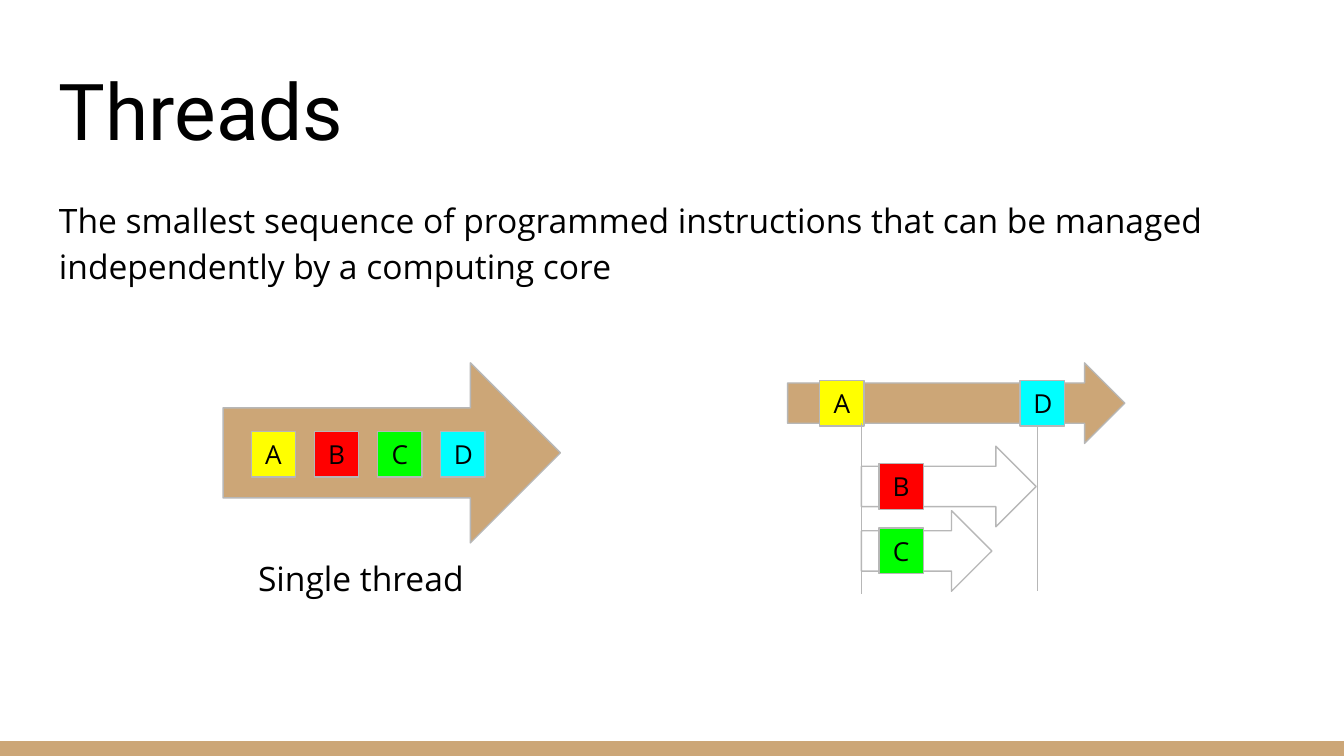
from pptx import Presentation
from pptx.dml.color import RGBColor
from pptx.enum.shapes import MSO_CONNECTOR as Connector, MSO_SHAPE as Shape
from pptx.enum.text import MSO_ANCHOR as Anchor, PP_ALIGN as Align
from pptx.oxml.ns import qn
from pptx.util import Inches, Pt
from lxml.etree import SubElement

COLORS = {
    "text": "000000", "tan": "CCA677", "white": "FFFFFF", "outline": "B7B7B7",
    "A": "FFFF00", "B": "FF0000", "C": "00FF00", "D": "00FFFF",
}
BODY_FONT = "Open Sans"
PAGE_WIDTH = 10
PAGE_HEIGHT = PAGE_WIDTH * 9 / 16
BAR_HEIGHT = 0.11
TASK_WIDTH, TASK_HEIGHT = 0.33, 0.34


def color(name):
    return RGBColor.from_string(COLORS[name])


def write(shape, text, size, font=BODY_FONT, align=Align.LEFT, anchor=Anchor.TOP):
    frame = shape.text_frame
    frame.word_wrap = True
    frame.vertical_anchor = anchor
    frame.margin_left = frame.margin_right = Inches(0.1)
    frame.margin_top = frame.margin_bottom = Inches(0.1)
    para = frame.paragraphs[0]
    para.text = text
    para.alignment = align
    para.font.name = font
    para.font.size = Pt(size)
    para.font.color.rgb = color("text")
    return para


def add_text(page, left, top, width, height, text, size, **style):
    box = page.shapes.add_textbox(Inches(left), Inches(top), Inches(width), Inches(height))
    return write(box, text, size, **style)


def add_block(page, kind, left, top, width, height, fill, outlined=True):
    block = page.shapes.add_shape(
        kind, Inches(left), Inches(top), Inches(width), Inches(height))
    block.shadow.inherit = False
    block.fill.solid()
    block.fill.fore_color.rgb = color(fill)
    if outlined:
        block.line.color.rgb = color("outline")
        block.line.width = Pt(0.75)
    else:
        block.line.fill.background()
    return block


def add_arrow(page, left, top, width, height, fill):
    add_block(page, Shape.RIGHT_ARROW, left, top, width, height, fill)


def add_task(page, name, left, top):
    task = add_block(page, Shape.RECTANGLE, left, top, TASK_WIDTH, TASK_HEIGHT, name)
    write(task, name, 14, align=Align.CENTER, anchor=Anchor.MIDDLE)


def add_sync_line(page, x, top, bottom):
    line = page.shapes.add_connector(
        Connector.STRAIGHT, Inches(x), Inches(top), Inches(x), Inches(bottom))
    line.line.color.rgb = color("outline")
    line.line.width = Pt(0.75)
    SubElement(line._element.spPr, qn("a:effectLst"))


def add_single_thread(page):
    add_arrow(page, 1.66, 2.7, 2.51, 1.34, "tan")
    for index, name in enumerate("ABCD"):
        add_task(page, name, 1.87 + 0.47 * index, 3.21)
    add_text(page, 1.63, 4.05, 2.11, 0.5, "Single thread", 18, align=Align.CENTER)


def add_parallel_threads(page):
    fork, join = 6.41, 7.72
    add_arrow(page, fork, 3.8, 0.97, 0.6, "white")
    add_arrow(page, fork, 3.32, 1.3, 0.6, "white")
    add_arrow(page, 5.86, 2.7, 2.51, 0.6, "tan")
    for name, left, top in [("A", 6.1, 2.83), ("B", 6.54, 3.45),
                            ("C", 6.54, 3.93), ("D", 7.59, 2.83)]:
        add_task(page, name, left, top)
    add_sync_line(page, fork, 3.15, 4.42)
    add_sync_line(page, join, 3.17, 4.4)


def main():
    deck = Presentation()
    deck.slide_width, deck.slide_height = Inches(PAGE_WIDTH), Inches(PAGE_HEIGHT)
    page = deck.slides.add_slide(deck.slide_layouts[6])
    add_block(page, Shape.RECTANGLE, 0, PAGE_HEIGHT - BAR_HEIGHT,
              PAGE_WIDTH, BAR_HEIGHT, "tan", outlined=False)
    add_text(page, 0.34, 0.35, 9.32, 0.91, "Threads", 42, font="Roboto", anchor=Anchor.BOTTOM)
    definition = add_text(
        page, 0.34, 1.34, 9.32, 0.99,
        "The smallest sequence of programmed instructions that can be managed "
        "independently by a computing core", 18)
    definition.line_spacing = 1.15
    definition.space_after = Pt(12)
    add_single_thread(page)
    add_parallel_threads(page)
    deck.save("out.pptx")


if __name__ == "__main__":
    main()
